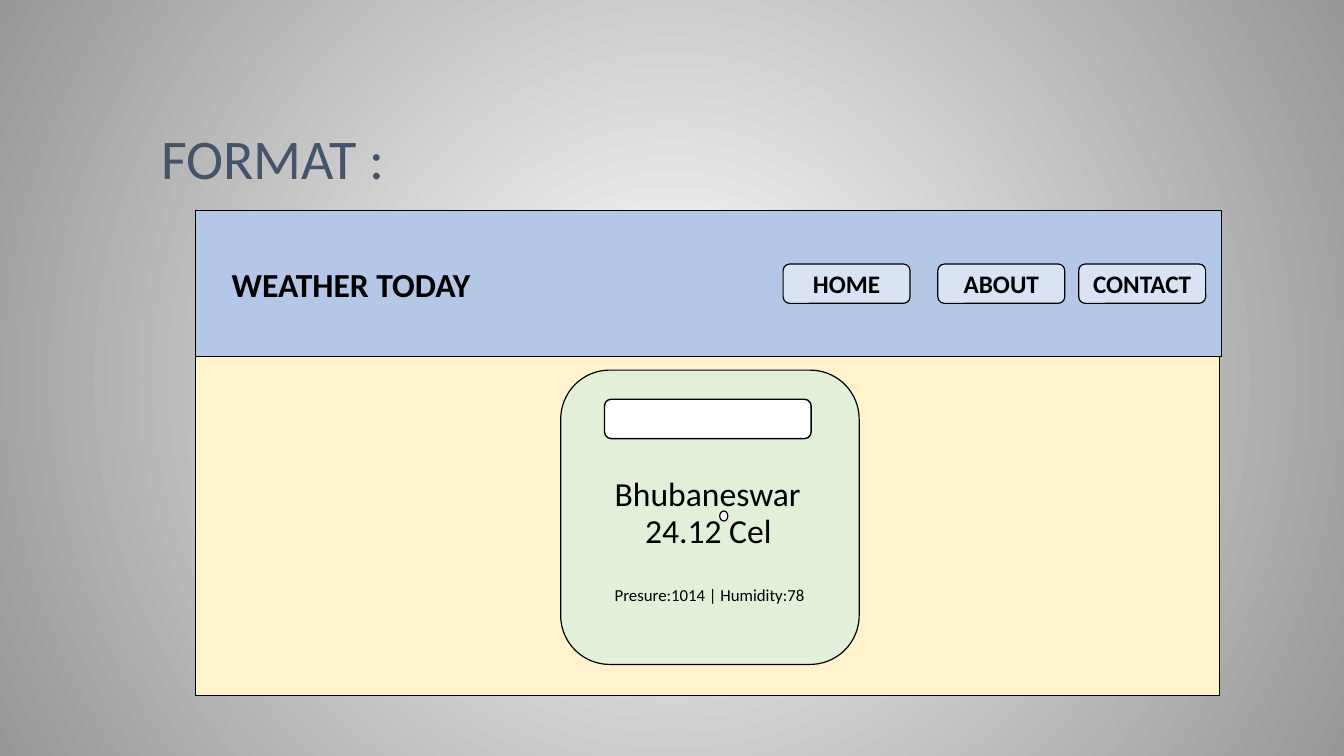
from dataclasses import dataclass

from lxml.etree import SubElement
from pptx import Presentation
from pptx.dml.color import RGBColor
from pptx.enum.shapes import MSO_SHAPE as Shape
from pptx.enum.text import MSO_ANCHOR as Anchor, MSO_AUTO_SIZE as AutoSize, PP_ALIGN as Align
from pptx.oxml.ns import qn
from pptx.util import Pt


@dataclass(frozen=True)
class Theme:
    font: str = "Calibri"
    title: str = "44546A"
    text: str = "000000"
    outline: str = "000000"
    white: str = "FFFFFF"
    backdrop_edge: str = "979797"
    page: str = "FFF2CC"
    header: str = "B4C7E7"
    button: str = "DAE3F3"
    card: str = "E2F0D9"
    title_size: int = 40
    heading_size: int = 24
    button_size: int = 18
    detail_size: int = 12
    line_width: float = 0.85
    line_spacing: float = 0.9


THEME = Theme()


def color(value):
    return RGBColor.from_string(value)


def style_paragraph(paragraph, size, text_color=THEME.text, bold=False, align=Align.LEFT):
    paragraph.alignment = align
    paragraph.line_spacing = THEME.line_spacing
    for run in paragraph.runs:
        run.font.name = THEME.font
        run.font.size = Pt(size)
        run.font.bold = bold
        run.font.color.rgb = color(text_color)


def set_radial_background(slide):
    fill = slide.background.fill
    fill.gradient()
    for stop, value, position in zip(fill.gradient_stops, (THEME.white, THEME.backdrop_edge), (0, 1)):
        stop.color.rgb = color(value)
        stop.position = position
    gradient = next(slide.element.iter(qn("a:gradFill")))
    gradient.remove(gradient.find(qn("a:lin")))
    circle = SubElement(gradient, qn("a:path"), {"path": "circle"})
    SubElement(circle, qn("a:fillToRect"), {side: "50000" for side in "ltrb"})


def set_title(slide, text, left, top, width, height):
    title = slide.shapes.title
    title.left, title.top, title.width, title.height = map(Pt, (left, top, width, height))
    frame = title.text_frame
    frame.text = text
    frame.auto_size = AutoSize.NONE
    frame.vertical_anchor = Anchor.BOTTOM
    style_paragraph(frame.paragraphs[0], THEME.title_size, THEME.title)


def add_panel(slide, kind, fill, left, top, width, height, line_width=THEME.line_width):
    panel = slide.shapes.add_shape(kind, Pt(left), Pt(top), Pt(width), Pt(height))
    panel.shadow.inherit = False
    panel.fill.solid()
    panel.fill.fore_color.rgb = color(fill)
    panel.line.color.rgb = color(THEME.outline)
    panel.line.width = Pt(line_width)
    return panel


def add_button(slide, label, left):
    button = add_panel(slide, Shape.ROUNDED_RECTANGLE, THEME.button, left, 188.6, 90.7, 28.1)
    frame = button.text_frame
    frame.text = label
    frame.vertical_anchor = Anchor.MIDDLE
    style_paragraph(frame.paragraphs[0], THEME.button_size, bold=True, align=Align.CENTER)
    frame.paragraphs[0].line_spacing = 1.0


def add_text(slide, lines, left, top, width, height, bold=False):
    frame = slide.shapes.add_textbox(Pt(left), Pt(top), Pt(width), Pt(height)).text_frame
    frame.word_wrap = True
    frame.text = "\n".join(text for text, *_ in lines)
    for paragraph, (_, size, indent, space_before) in zip(frame.paragraphs, lines):
        style_paragraph(paragraph, size, bold=bold)
        paragraph.space_before = Pt(space_before)
        paragraph._p.get_or_add_pPr().set("marL", str(Pt(indent)))


def main():
    presentation = Presentation()
    presentation.slide_width, presentation.slide_height = Pt(960), Pt(540)
    slide = presentation.slides.add_slide(presentation.slide_layouts[5])
    set_radial_background(slide)
    set_title(slide, "FORMAT :", 108, 36, 768, 104.4)

    add_panel(slide, Shape.RECTANGLE, THEME.page, 139.7, 151, 731.5, 345.8)
    add_panel(slide, Shape.RECTANGLE, THEME.header, 139.7, 150.5, 733, 104.4)
    for label, left in (("HOME", 559.4), ("ABOUT", 669.9), ("CONTACT", 770.5)):
        add_button(slide, label, left)

    add_panel(slide, Shape.ROUNDED_RECTANGLE, THEME.card, 400.5, 264.4, 213.2, 210.2)
    add_panel(slide, Shape.ROUNDED_RECTANGLE, THEME.white, 431.8, 285.2, 147.6, 28.1, 1)
    weather = [
        ("Bhubaneswar", THEME.heading_size, 0, 0),
        ("24.12 Cel", THEME.heading_size, 21.7, 0),
        ("Presure:1014 | Humidity:78", THEME.detail_size, 0, 26.4),
    ]
    add_text(slide, weather, 432, 337.7, 201.6, 98.6)
    add_panel(slide, Shape.OVAL, THEME.white, 514.1, 365, 5.8, 7.2)
    add_text(slide, [("WEATHER TODAY", THEME.heading_size, 0, 0)], 158.4, 188.6, 232.6, 33.8, bold=True)
    presentation.save("out.pptx")


if __name__ == "__main__":
    main()
